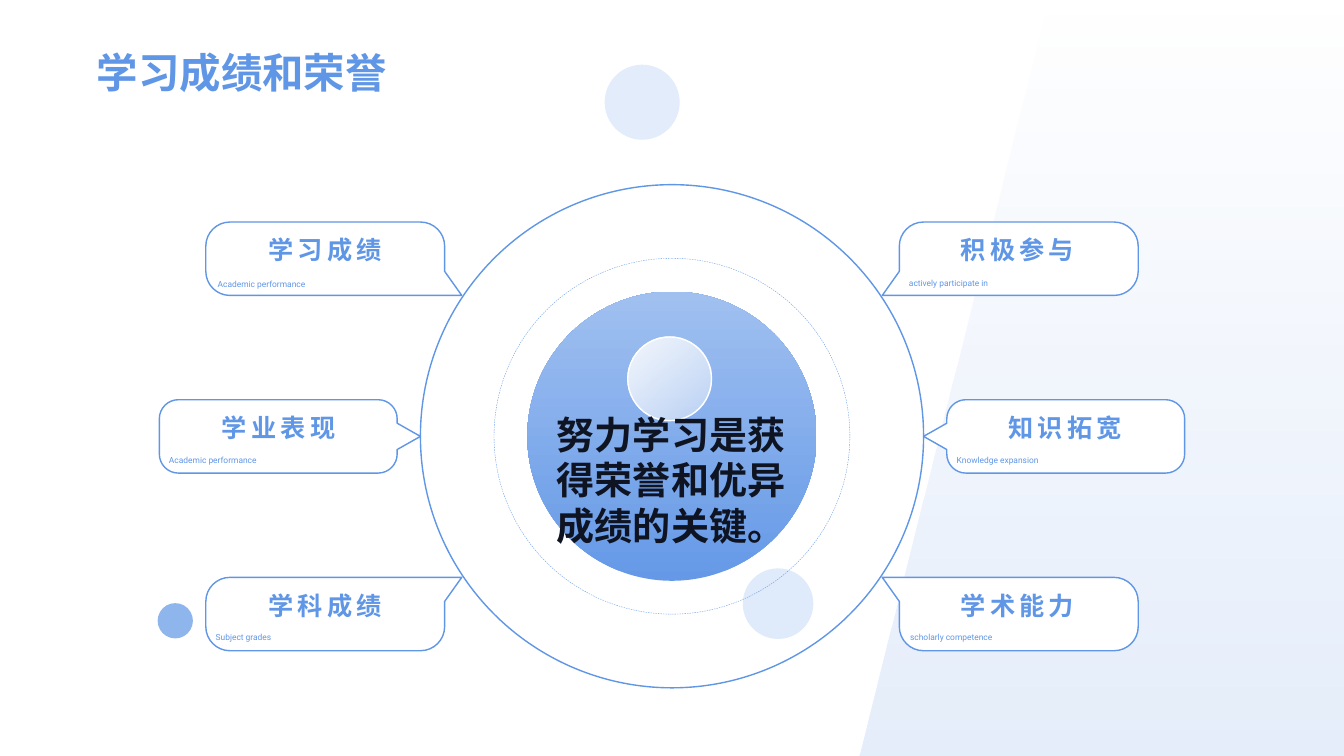
from lxml.etree import SubElement
from pptx import Presentation
from pptx.dml.color import RGBColor
from pptx.enum.dml import MSO_LINE
from pptx.enum.shapes import MSO_SHAPE as SHAPE
from pptx.enum.text import MSO_ANCHOR as ANCHOR, PP_ALIGN as ALIGN
from pptx.oxml.ns import qn
from pptx.util import Pt

W, H = 960, 540
BLUE = "6096E6"
PALE = "A0C0F0"
WHITE = "FFFFFF"
CJK = "Noto Sans CJK SC"
BODY_H = 52.4


def rgb(value):
    return RGBColor.from_string(value)


def set_alpha(color, percent):
    SubElement(color, qn("a:alpha")).set("val", str(percent * 1000))


def style(sp, fill=None, alpha=100, line=None, width=1):
    sp.shadow.inherit = False
    if fill:
        sp.fill.solid()
        sp.fill.fore_color.rgb = rgb(fill)
        if alpha < 100:
            set_alpha(next(sp.fill._xPr.iter(qn("a:srgbClr"))), alpha)
    else:
        sp.fill.background()
    if line:
        sp.line.color.rgb = rgb(line)
        sp.line.width = Pt(width)
    else:
        sp.line.fill.background()


def set_gradient(sp, stops, angle):
    sp.fill.gradient()
    sp.fill.gradient_angle = angle
    for stop, (color, alpha) in zip(sp.fill.gradient_stops, stops):
        stop.color.rgb = rgb(color)
        if alpha < 100:
            set_alpha(stop._gs.find(qn("a:srgbClr")), alpha)


def add_circle(slide, cx, cy, d, kind=SHAPE.OVAL, **look):
    sp = slide.shapes.add_shape(kind, Pt(cx - d / 2), Pt(cy - d / 2), Pt(d), Pt(d))
    style(sp, **look)
    return sp


def add_outline(slide, segments):
    points = [(Pt(x), Pt(y)) for segment in segments for x, y in segment]
    builder = slide.shapes.build_freeform(*points[0])
    builder.add_line_segments(points[1:])
    sp = builder.convert_to_shape()
    steps = iter(list(sp._element.iter(qn("a:lnTo"))))
    for segment in segments[1:]:
        parts = [next(steps) for _ in segment]
        if len(parts) == 3:
            curve = parts[0].getparent().makeelement(qn("a:cubicBezTo"), {})
            parts[0].addprevious(curve)
            for part in parts:
                curve.append(part[0])
                part.getparent().remove(part)
    return sp


def add_text(slide, box, text, size, font=CJK, color=BLUE, bold=True,
             align=ALIGN.LEFT, leading=None, spacing=None):
    tf = slide.shapes.add_textbox(*map(Pt, box)).text_frame
    tf.word_wrap = True
    tf.vertical_anchor = ANCHOR.MIDDLE
    p = tf.paragraphs[0]
    p.text = text
    p.alignment = align
    if leading:
        p.line_spacing = leading
    r = p.runs[0]
    r.font.size = Pt(size)
    r.font.bold = bold
    r.font.color.rgb = rgb(color)
    r.font.name = font
    rPr = r.font._element
    SubElement(rPr, qn("a:ea")).set("typeface", font)
    if spacing:
        rPr.set("spc", str(spacing * 100))


def bend(start, apex, end):
    controls = [tuple(a + (b - a) * 0.55 for a, b in zip(point, apex))
                for point in (start, end)]
    return [*controls, end]


def callout_outline(row, w):
    h = BODY_H
    r = 13.6 if row == 1 else 17.2
    top = [[(r, 0)], [(w - r, 0)], bend((w - r, 0), (w, 0), (w, r))]
    bottom = [[(r, h)], bend((r, h), (0, h), (0, h - r)),
              [(0, r)], bend((0, r), (0, 0), (r, 0))]
    if row == 1:
        pointer = [[(w, 16.8)], [(w + 16.6, h / 2)], [(w, h - 16.8)], [(w, h - r)],
                   bend((w, h - r), (w, h), (w - r, h))]
    else:
        pointer = [[(w, 35.2)], [(w + 12.2, h)]]
    segments = top + pointer + bottom
    if row == 2:
        return [[(x, h - y) for x, y in segment] for segment in segments]
    return segments


def add_callout(slide, left, top, width, row, faces_left, title, caption, dx, dy):
    segments = callout_outline(row, width)
    if faces_left:
        segments = [[(width - x, y) for x, y in segment] for segment in segments]
    sp = add_outline(slide, [[(left + x, top + y) for x, y in segment]
                             for segment in segments])
    style(sp, fill=WHITE, line=BLUE)
    title_left = left - 0.2 if faces_left else left + 0.6
    add_text(slide, (title_left, top, 169.2, 35.3), title, 18,
             align=ALIGN.CENTER, leading=1.2, spacing=3)
    add_text(slide, (left + dx, top + 34.4 + dy, 169.2, 18), caption, 6,
             font="Roboto", bold=False, align=ALIGN.JUSTIFY)


def add_backdrop(slide):
    panel = add_outline(slide, [[(749, 0)], [(W, 0)], [(W, H)], [(613.8, H)]])
    style(panel)
    set_gradient(panel, [(PALE, 0), (PALE, 28)], 270)
    for cx, cy, d, alpha in [(555.8, 431.2, 50.4, 20), (458.7, 73, 53.6, 18),
                             (125.2, 443.4, 25.2, 70)]:
        add_circle(slide, cx, cy, d, fill=BLUE, alpha=alpha)


def add_dashed_arc(slide, cx, cy, d, mirrored):
    sp = add_circle(slide, cx, cy, d, kind=SHAPE.ARC, line=BLUE, width=0.25)
    sp.line.dash_style = MSO_LINE.DASH
    sp.adjustments[0] = 162
    sp.adjustments[1] = 53.89
    if mirrored:
        sp._element.spPr.find(qn("a:xfrm")).set("flipH", "1")


def add_hub(slide, cx, cy):
    disc = add_circle(slide, cx, cy, 206.6)
    set_gradient(disc, [("6599E7", 100), (PALE, 100)], 90)
    add_circle(slide, cx, cy, 359.4, line=BLUE)
    ball = add_circle(slide, cx - 1.7, cy - 41, 59.8, line=WHITE)
    set_gradient(ball, [(WHITE, 90), (WHITE, 40)], 315)
    for mirrored in (False, True):
        add_dashed_arc(slide, cx, cy, 254.2, mirrored)
    add_text(slide, (cx - 94.6, cy - 5.3, 188, 72.7), "努力学习是获得荣誉和优异成绩的关键。",
             27.2, color="0F1423", align=ALIGN.CENTER)


def main():
    prs = Presentation()
    prs.slide_width, prs.slide_height = Pt(W), Pt(H)
    slide = prs.slides.add_slide(prs.slide_layouts[6])
    add_backdrop(slide)
    rows = [
        (147, 170.6, ("学习成绩", "Academic performance", 1.4, 0.7),
         ("积极参与", "actively participate in", -0.2, 0)),
        (113.8, 169.9, ("学业表现", "Academic performance", -0.2, -0.5),
         ("知识拓宽", "Knowledge expansion", 0, -0.5)),
        (147, 170.6, ("学科成绩", "Subject grades", 0, -0.5),
         ("学术能力", "scholarly competence", 0.6, -0.5)),
    ]
    for row, (left, width, left_words, right_words) in enumerate(rows):
        top = 158.6 + 126.9 * row
        add_callout(slide, left, top, width, row, False, *left_words)
        add_callout(slide, W - left - width, top, width, row, True, *right_words)
    add_hub(slide, W / 2, 311.6)
    add_text(slide, (62, 26.6, 635.8, 46), "学习成绩和荣誉", 29.6, leading=1.1)
    prs.save("out.pptx")


if __name__ == "__main__":
    main()
